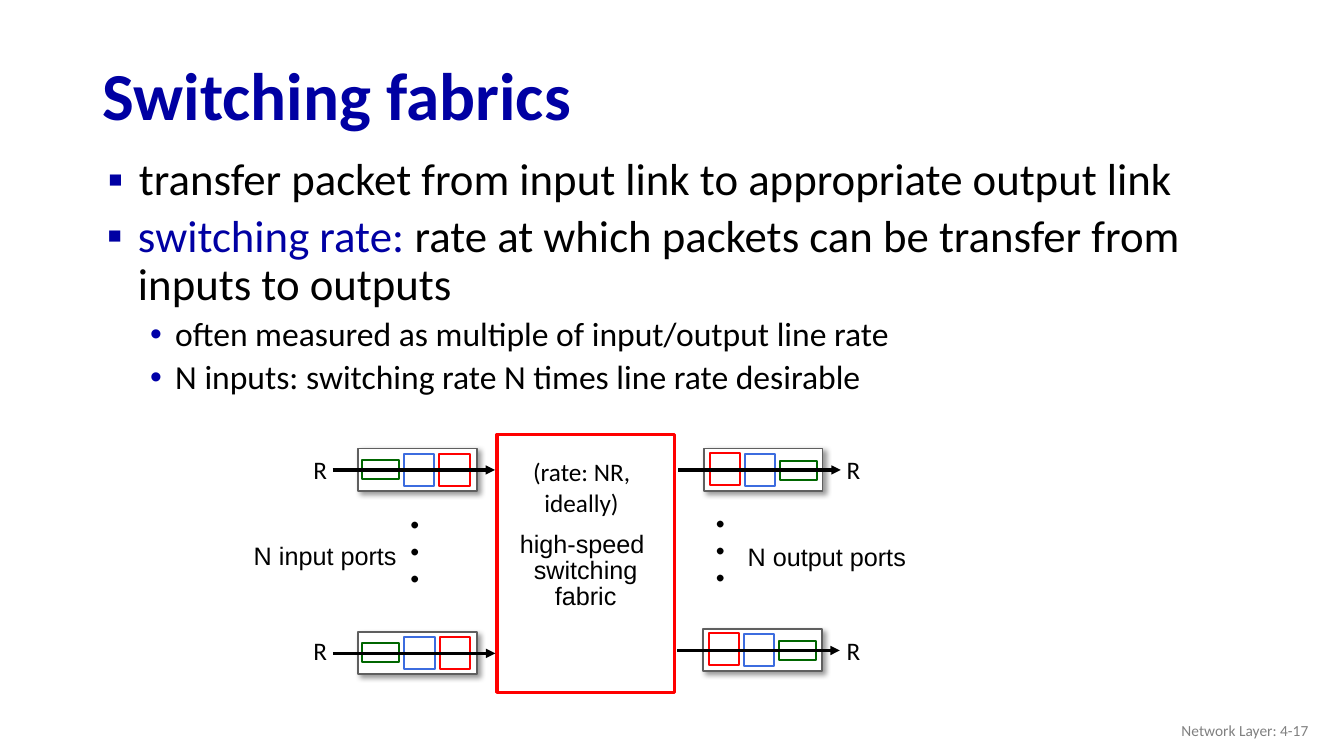
import pptx
import pptx.util
import pptx.dml.color
import pptx.oxml
import pptx.oxml.ns
import pptx.enum.shapes
import pptx.enum.text

Pt = pptx.util.Pt
RGB = pptx.dml.color.RGBColor
ALIGN = pptx.enum.text.PP_ALIGN
ANCHOR = pptx.enum.text.MSO_ANCHOR
FIT = pptx.enum.text.MSO_AUTO_SIZE
NS = pptx.oxml.ns.nsdecls("a")

NAVY = RGB(0x00, 0x00, 0xA3)
BULLET_BLUE = RGB(0x00, 0x00, 0xA8)
BLACK = RGB(0, 0, 0)
WHITE = RGB(0xFF, 0xFF, 0xFF)
RED = RGB(0xFF, 0, 0)
BLUE = RGB(0x3C, 0x6C, 0xDF)
GREEN = RGB(0, 0x66, 0)
GRAY = RGB(0x80, 0x80, 0x80)
DARK_GRAY = RGB(0x5F, 0x5F, 0x5F)

prs = pptx.Presentation()
prs.slide_width, prs.slide_height = Pt(960), Pt(540)
s = prs.slides.add_slide(prs.slide_layouts[5])


def add_text(x, y, w, h, paragraphs, size=18, font="Calibri", color=BLACK,
             align=ALIGN.LEFT, wrap=False, spacing=1.0):
    sp = s.shapes.add_textbox(Pt(x), Pt(y), Pt(w), Pt(h))
    tf = sp.text_frame
    tf.word_wrap = wrap
    tf.auto_size = FIT.SHAPE_TO_FIT_TEXT
    for i, text in enumerate(paragraphs):
        p = tf.paragraphs[0] if i == 0 else tf.add_paragraph()
        p.alignment = align
        p.line_spacing = spacing
        r = p.add_run()
        r.text = text
        r.font.size, r.font.name = Pt(size), font
        r.font.color.rgb = color
    return sp


def add_box(x, y, w, h, line, weight):
    sp = s.shapes.add_shape(pptx.enum.shapes.MSO_SHAPE.RECTANGLE, Pt(x), Pt(y), Pt(w), Pt(h))
    sp.shadow.inherit = False
    sp.fill.solid()
    sp.fill.fore_color.rgb = WHITE
    sp.line.color.rgb = line
    sp.line.width = Pt(weight)
    return sp


title = s.shapes.title
title.left, title.top, title.width, title.height = Pt(66.2), Pt(35.3), Pt(828), Pt(70.6)
tf = title.text_frame
tf.vertical_anchor = ANCHOR.MIDDLE
p = tf.paragraphs[0]
p.alignment = ALIGN.LEFT
p.line_spacing = 0.9
r = p.add_run()
r.text = "Switching fabrics"
r.font.size, r.font.name, r.font.bold = Pt(48), "Calibri", True
r.font.color.rgb = NAVY

TOP = (32, 28.1, -22.3, 10, "▪", NAVY)
SUB = (24, 54.7, -18, 5, "•", BULLET_BLUE)
bullet_boxes = [
    (64.1, 108.7, 49.7, [
        (TOP, [("transfer packet from input link to appropriate output link", BLACK)])]),
    (63.4, 149, 182.2, [
        (TOP, [("switching rate: ", NAVY),
               ("rate at which packets can be transfer from inputs to outputs", BLACK)]),
        (SUB, [("often measured as multiple of input/output line rate", BLACK)]),
        (SUB, [("N inputs: switching rate N times line rate desirable", BLACK)])]),
]
for x, y, h, items in bullet_boxes:
    tf = s.shapes.add_textbox(Pt(x), Pt(y), Pt(869), Pt(h)).text_frame
    tf.word_wrap = True
    for i, ((size, margin, indent, before, mark, mark_color), runs) in enumerate(items):
        p = tf.paragraphs[0] if i == 0 else tf.add_paragraph()
        p.level = 0 if mark == "▪" else 1
        p.line_spacing = 0.9
        p.space_before = Pt(before)
        pPr = p._p.get_or_add_pPr()
        pPr.set("marL", str(Pt(margin)))
        pPr.set("indent", str(Pt(indent)))
        for xml in (f'<a:buClr {NS}><a:srgbClr val="{mark_color}"/></a:buClr>',
                    f'<a:buFont {NS} typeface="Arial"/>',
                    f'<a:buChar {NS} char="{mark}"/>'):
            pPr.append(pptx.oxml.parse_xml(xml))
        for text, color in runs:
            r = p.add_run()
            r.text = text
            r.font.size, r.font.name = Pt(size), "Calibri"
            r.font.color.rgb = color

add_box(355, 310.3, 126.7, 184.3, RED, 2.25)
add_text(363.6, 377.3, 109.4, 62.6, ["high-speed ", "switching", "fabric"],
         font="Arial", align=ALIGN.CENTER, spacing=0.85)
add_text(362.9, 322.6, 105.1, 51.1, ["(rate: NR, ideally)"], align=ALIGN.CENTER, wrap=True)

INPUT = [(2.9, 8, 26.6, 13.7, GREEN), (33.1, 3.6, 21.6, 23, BLUE), (58.3, 3.6, 21.6, 23, RED)]
OUTPUT = [(54.7, 8.6, 26.6, 13.7, GREEN), (29.5, 3.6, 21.6, 23, BLUE), (4.3, 2.9, 21.6, 23, RED)]
ports = [(255.6, 320.4, INPUT), (255.8, 451.4, INPUT),
         (502.6, 320.4, OUTPUT), (501.9, 449.3, OUTPUT)]
for x, y, packets in ports:
    sp = add_box(x, y, 85, 30.2, DARK_GRAY, 1.25)
    sp._element.spPr.remove(sp._element.spPr.find(pptx.oxml.ns.qn("a:effectLst")))
    sp._element.spPr.append(pptx.oxml.parse_xml(
        f'<a:effectLst {NS}><a:outerShdw blurRad="{Pt(4)}" dist="{Pt(3)}" dir="2700000" '
        'algn="tl" rotWithShape="0"><a:srgbClr val="000000"><a:alpha val="40000"/>'
        '</a:srgbClr></a:outerShdw></a:effectLst>'))
    for dx, dy, w, h, color in packets:
        add_box(x + dx, y + dy, w, h, color, 1.5)
    mid = y + 15.3
    arrow = s.shapes.add_connector(pptx.enum.shapes.MSO_CONNECTOR.STRAIGHT,
                                   Pt(x - 18), Pt(mid), Pt(x + 98), Pt(mid))
    arrow.line.color.rgb = BLACK
    arrow.line.width = Pt(2.25)
    arrow.line._get_or_add_ln().append(pptx.oxml.parse_xml(f'<a:tailEnd {NS} type="triangle"/>'))
    arrow._element.spPr.append(pptx.oxml.parse_xml(f'<a:effectLst {NS}/>'))

for x in (216.7, 597.6):
    for y in (321.1, 450):
        add_text(x, y, 24.5, 28.8, ["R"])

add_text(174.2, 382.3, 117.4, 28.8, ["N input ports"], font="Arial")
add_text(527, 383, 128.9, 28.8, ["N output ports"], font="Arial")
for x, y in ((273.6, 371.5), (491.8, 370.8)):
    dots = add_text(x, y, 72.7, 55.4, [". . . "], size=40, align=ALIGN.CENTER, wrap=True)
    dots.rotation = 90

sp = add_text(725.8, 507.6, 216, 28.8, ["Network Layer: 4-17"], size=11, color=GRAY,
              align=ALIGN.RIGHT, wrap=True)
sp.text_frame.auto_size = FIT.NONE
sp.text_frame.vertical_anchor = ANCHOR.MIDDLE

prs.save("out.pptx")
